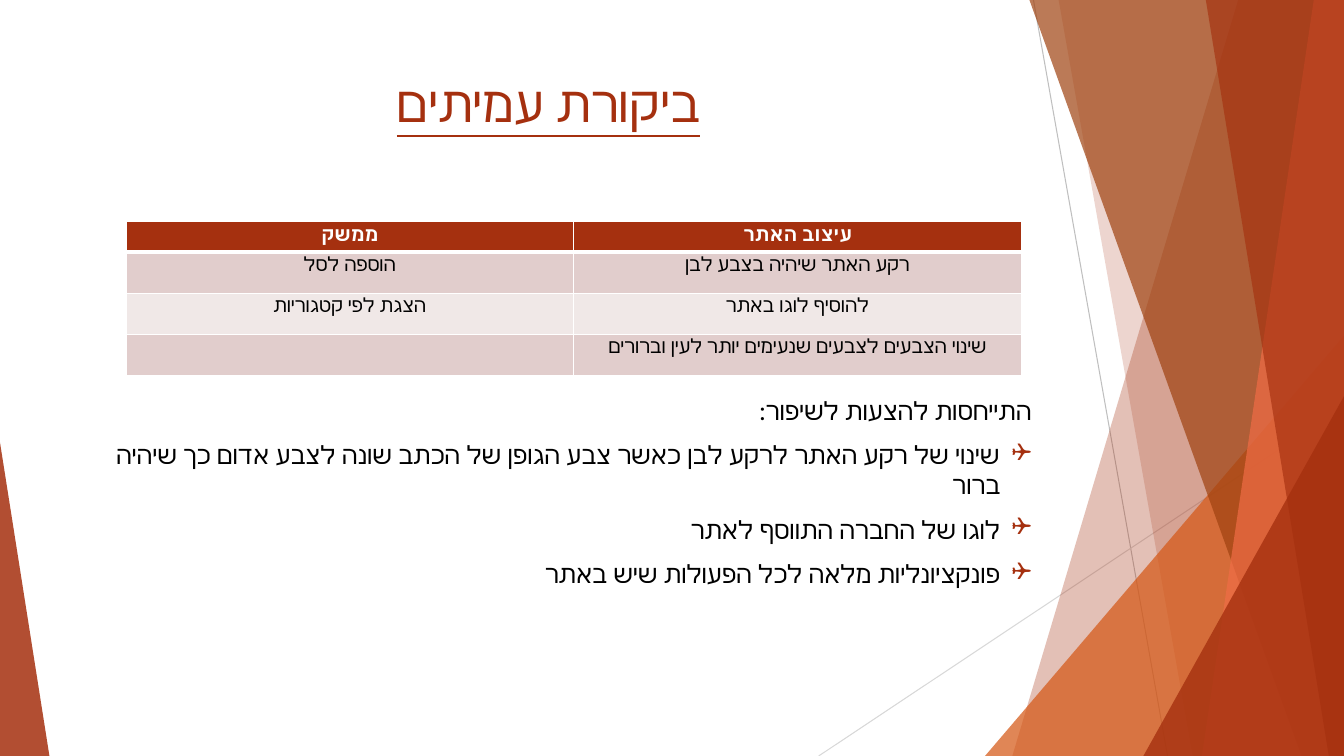
from lxml.etree import SubElement
from pptx import Presentation
from pptx.dml.color import RGBColor
from pptx.enum.shapes import MSO_CONNECTOR, MSO_SHAPE
from pptx.enum.text import MSO_ANCHOR, PP_ALIGN
from pptx.oxml.ns import qn
from pptx.util import Inches, Pt

WIDTH, HEIGHT = 13.33, 7.5
COLORS = {
    "red": "A5300F", "orange": "D55816", "brown": "9F4210", "coral": "F06C46",
    "gray": "BFBFBF", "light gray": "D8D8D8", "white": "FFFFFF", "black": "000000",
    "dark band": "E1CDCC", "light band": "F0E8E7",
}
TITLE = "ביקורת עמיתים"
TABLE_ROWS = [
    ("ממשק", "עיצוב האתר"),
    ("הוספה לסל", "רקע האתר שיהיה בצבע לבן"),
    ("הצגת לפי קטגוריות", "להוסיף לוגו באתר"),
    ("", "שינוי הצבעים לצבעים שנעימים יותר לעין וברורים"),
]
ROW_HEIGHTS = [0.3, 0.41, 0.41, 0.41]
COLUMN_WIDTH = 4.44
INTRO = "התייחסות להצעות לשיפור:"
IMPROVEMENTS = [
    "שינוי של רקע האתר לרקע לבן כאשר צבע הגופן של הכתב שונה לצבע אדום כך שיהיה ברור",
    "לוגו של החברה התווסף לאתר",
    "פונקציונליות מלאה לכל הפעולות שיש באתר",
]
THIN_LINES = [
    (10.25, 0, 11.58, HEIGHT, "gray"),
    (WIDTH, 4.03, 8.12, HEIGHT, "light gray"),
]
# Bands reach the right edge: (left at top, left at bottom, color, opacity %)
# Triangles stand on the bottom edge: (left, top, width, apex, color, opacity %)
DECORATION = [
    ("band", 12.28, 10.04, "red", 30),
    ("band", 10.5, 11.83, "red", 20),
    ("triangle", 9.77, 3.33, 3.56, 1, "orange", 72),
    ("band", 10.21, 12.91, "brown", 70),
    ("band", 13.03, 11.92, "coral", 70),
    ("band", 11.96, 13.18, "red", 65),
    ("triangle", 11.34, 3.93, 1.99, 1, "red", 80),
    ("triangle", 0, 4.39, 0.49, 0, "red", 85),
]


def rgb(name):
    return RGBColor.from_string(COLORS[name])


def paint(shape, color, opacity):
    shape.shadow.inherit = False
    shape.line.fill.background()
    shape.fill.solid()
    shape.fill.fore_color.rgb = rgb(color)
    tint = shape.fill._xPr.find(qn("a:solidFill"))[0]
    SubElement(tint, qn("a:alpha"), val=str(opacity * 1000))


def add_line(page, x1, y1, x2, y2, color):
    line = page.shapes.add_connector(
        MSO_CONNECTOR.STRAIGHT, Inches(x1), Inches(y1), Inches(x2), Inches(y2))
    line.line.color.rgb = rgb(color)
    line.line.width = Pt(0.75)
    SubElement(line._element.spPr, qn("a:effectLst"))


def add_band(page, top_left, bottom_left, color, opacity):
    outline = page.shapes.build_freeform(Inches(top_left), 0)
    corners = [(WIDTH, 0), (WIDTH, HEIGHT), (bottom_left, HEIGHT)]
    outline.add_line_segments([(Inches(x), Inches(y)) for x, y in corners], close=True)
    paint(outline.convert_to_shape(), color, opacity)


def add_triangle(page, left, top, width, apex, color, opacity):
    triangle = page.shapes.add_shape(
        MSO_SHAPE.ISOSCELES_TRIANGLE, Inches(left), Inches(top),
        Inches(width), Inches(HEIGHT - top))
    triangle.adjustments[0] = apex
    paint(triangle, color, opacity)


def add_frame(page, left, top, width, height):
    frame = page.shapes.add_textbox(
        Inches(left), Inches(top), Inches(width), Inches(height)).text_frame
    frame.word_wrap = True
    frame.vertical_anchor = MSO_ANCHOR.TOP
    return frame


def write(para, text, size, color, align, font="Lato", bold=False, underline=False):
    """Add one right-to-left run; Hebrew takes its face from the a:cs font."""
    para.alignment = align
    para._p.get_or_add_pPr().set("rtl", "1")
    span = para.add_run()
    span.text = text
    span.font.name = font
    span.font.size = Pt(size)
    span.font.bold = bold
    span.font.underline = underline
    span.font.color.rgb = rgb(color)
    SubElement(span._r.get_or_add_rPr(), qn("a:cs"), typeface="Lato")


def add_bullet(para):
    props = para._p.get_or_add_pPr()
    props.set("marL", str(Inches(0.31)))
    props.set("indent", str(-Inches(0.31)))
    tint = SubElement(props, qn("a:buClr"))
    SubElement(tint, qn("a:srgbClr"), val=COLORS["red"])
    SubElement(props, qn("a:buFont"), typeface="Wingdings")
    SubElement(props, qn("a:buChar"), char="❑")


def style_cell(cell, fill, bottom_width):
    cell.margin_top = cell.margin_bottom = 0
    cell.vertical_anchor = MSO_ANCHOR.TOP
    props = cell._tc.get_or_add_tcPr()
    for side, width in (("L", 1), ("R", 1), ("T", 1), ("B", bottom_width)):
        border = SubElement(props, qn(f"a:ln{side}"), w=str(Pt(width)))
        paint_node = SubElement(border, qn("a:solidFill"))
        SubElement(paint_node, qn("a:srgbClr"), val=COLORS["white"])
    cell.fill.solid()
    cell.fill.fore_color.rgb = rgb(fill)


def add_review_table(page):
    columns = len(TABLE_ROWS[0])
    table = page.shapes.add_table(
        len(TABLE_ROWS), columns, Inches(1.25), Inches(2.2),
        Inches(COLUMN_WIDTH * columns), Inches(sum(ROW_HEIGHTS))).table
    for column in table.columns:
        column.width = Inches(COLUMN_WIDTH)
    for index, texts in enumerate(TABLE_ROWS):
        table.rows[index].height = Inches(ROW_HEIGHTS[index])
        header = index == 0
        fill = "red" if header else ("light band", "dark band")[index % 2]
        for number, text in enumerate(texts):
            cell = table.cell(index, number)
            style_cell(cell, fill, 3 if header else 1)
            if text:
                write(cell.text_frame.paragraphs[0], text, 14,
                      "white" if header else "black", PP_ALIGN.CENTER,
                      font="Arial", bold=header)


def main():
    deck = Presentation()
    deck.slide_width, deck.slide_height = Inches(WIDTH), Inches(HEIGHT)
    page = deck.slides.add_slide(deck.slide_layouts[6])

    for line in THIN_LINES:
        add_line(page, *line)
    builders = {"band": add_band, "triangle": add_triangle}
    for kind, *details in DECORATION:
        builders[kind](page, *details)

    title = add_frame(page, 0.74, 0.67, 9.4, 1.44)
    write(title.paragraphs[0], TITLE, 36, "red", PP_ALIGN.CENTER, underline=True)

    body = add_frame(page, 0.93, 3.87, 9.4, 2.48)
    write(body.paragraphs[0], INTRO, 18, "black", PP_ALIGN.RIGHT)
    for text in IMPROVEMENTS:
        para = body.add_paragraph()
        para.space_before = Pt(10)
        add_bullet(para)
        write(para, text, 18, "black", PP_ALIGN.RIGHT)

    add_review_table(page)
    deck.save("out.pptx")


if __name__ == "__main__":
    main()
